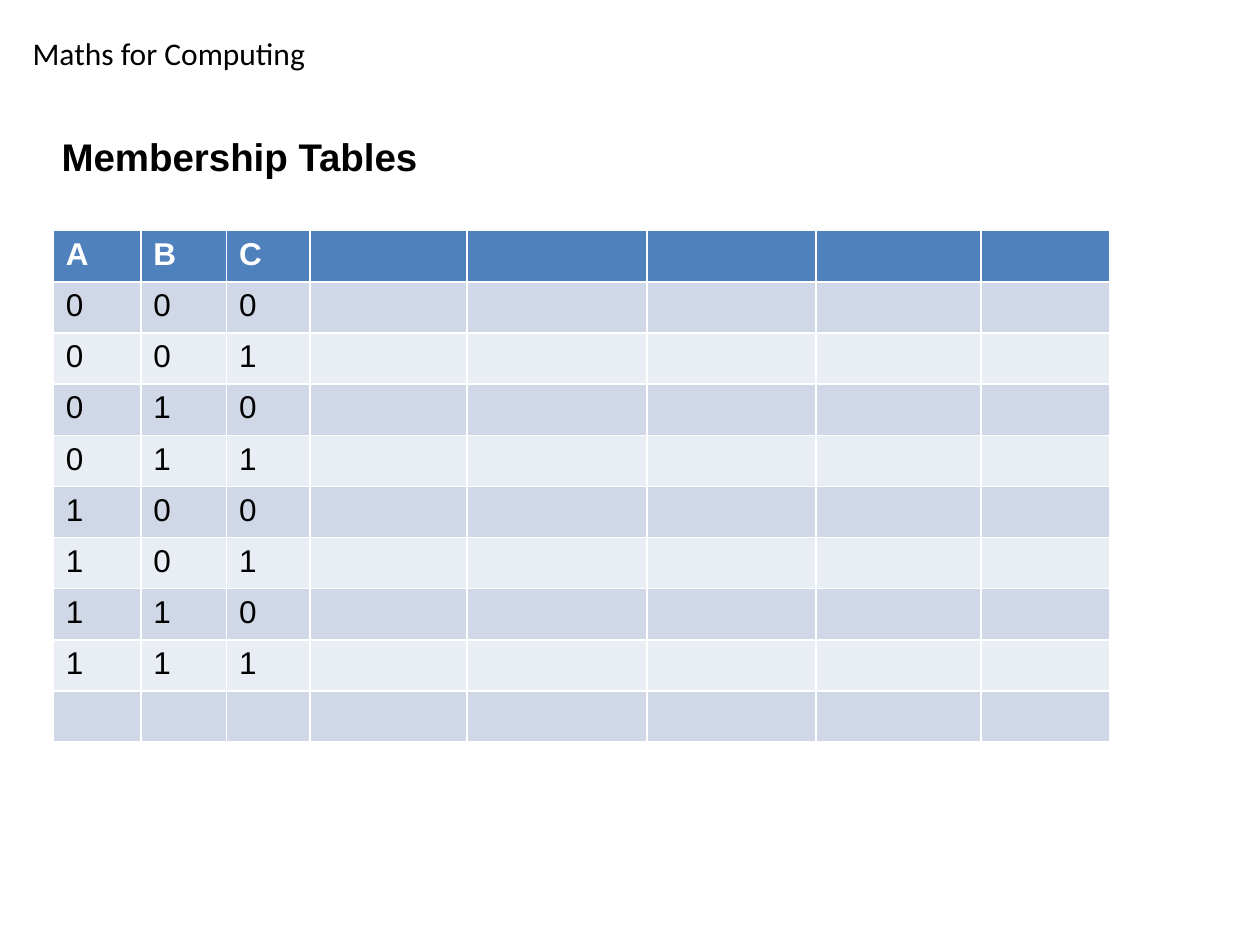
from dataclasses import dataclass
from itertools import product

from pptx import Presentation
from pptx.dml.color import RGBColor
from pptx.enum.text import MSO_ANCHOR, MSO_AUTO_SIZE, PP_ALIGN
from pptx.util import Pt

MIDDLE = MSO_ANCHOR.MIDDLE
LEFT = PP_ALIGN.LEFT
NO_AUTOFIT = MSO_AUTO_SIZE.NONE
GROW = MSO_AUTO_SIZE.SHAPE_TO_FIT_TEXT


@dataclass(frozen=True)
class Theme:
    ink: str = "000000"
    header_ink: str = "FFFFFF"
    header_fill: str = "4F81BD"
    band_fills: tuple[str, str] = ("D0D8E8", "E9EDF4")
    heading_font: str = "Arial"
    course_font: str = "Calibri"
    heading_size: int = 22
    body_size: int = 18


@dataclass(frozen=True)
class Box:
    left: float
    top: float
    width: float
    height: float

    def lengths(self) -> tuple[Pt, Pt, Pt, Pt]:
        return Pt(self.left), Pt(self.top), Pt(self.width), Pt(self.height)


@dataclass(frozen=True)
class TextStyle:
    font: str
    size: int
    color: str
    bold: bool = False


THEME = Theme()
COURSE_STYLE = TextStyle(THEME.course_font, THEME.body_size, THEME.ink)
HEADING_STYLE = TextStyle(THEME.heading_font, THEME.heading_size, THEME.ink, True)
HEADER_STYLE = TextStyle(THEME.heading_font, THEME.body_size, THEME.header_ink, True)
VALUE_STYLE = TextStyle(THEME.heading_font, THEME.body_size, THEME.ink)

COURSE_BOX = Box(11.5, 15.8, 497.5, 29)
HEADING_BOX = Box(28, 73.5, 584.5, 31)
SETS = ("A", "B", "C")
COLUMN_WIDTHS = (50, 49, 47.7, 89.7, 103, 96.6, 94.3, 73.7)
ROW_HEIGHT = 29.23
TABLE_LEFT, TABLE_TOP = 30.5, 131.8


def write(frame, text: str, style: TextStyle) -> None:
    paragraph = frame.paragraphs[0]
    paragraph.alignment = LEFT
    run = paragraph.add_run()
    run.text = text
    font_values = {"name": style.font, "size": Pt(style.size), "bold": style.bold}
    for attribute, value in font_values.items():
        setattr(run.font, attribute, value)
    run.font.color.rgb = RGBColor.from_string(style.color)


def add_course_name(slide) -> None:
    frame = slide.shapes.add_textbox(*COURSE_BOX.lengths()).text_frame
    frame.word_wrap = True
    frame.auto_size = GROW
    write(frame, "Maths for Computing", COURSE_STYLE)


def set_heading(slide) -> None:
    heading = slide.shapes.title
    heading.left, heading.top, heading.width, heading.height = HEADING_BOX.lengths()
    frame_values = {"word_wrap": True, "auto_size": NO_AUTOFIT, "vertical_anchor": MIDDLE}
    for attribute, value in frame_values.items():
        setattr(heading.text_frame, attribute, value)
    write(heading.text_frame, "Membership Tables", HEADING_STYLE)


def add_membership_table(slide) -> None:
    """List every membership combination, with blank columns and a last row to fill in."""
    rows = [SETS, *product("01", repeat=len(SETS)), ()]
    box = Box(TABLE_LEFT, TABLE_TOP, sum(COLUMN_WIDTHS), ROW_HEIGHT * len(rows))
    table = slide.shapes.add_table(len(rows), len(COLUMN_WIDTHS), *box.lengths()).table
    for column, width in zip(table.columns, COLUMN_WIDTHS):
        column.width = Pt(width)
    for index, (row, values) in enumerate(zip(table.rows, rows)):
        row.height = Pt(ROW_HEIGHT)
        is_header = index == 0
        fill = THEME.header_fill if is_header else THEME.band_fills[(index - 1) % 2]
        for cell in row.cells:
            cell.fill.solid()
            cell.fill.fore_color.rgb = RGBColor.from_string(fill)
        for cell, value in zip(row.cells, values):
            write(cell.text_frame, value, HEADER_STYLE if is_header else VALUE_STYLE)


def main() -> None:
    deck = Presentation()
    deck.slide_width, deck.slide_height = Pt(720), Pt(540)
    slide = deck.slides.add_slide(deck.slide_layouts.get_by_name("Title Only"))
    add_course_name(slide)
    set_heading(slide)
    add_membership_table(slide)
    deck.save("out.pptx")


if __name__ == "__main__":
    main()
